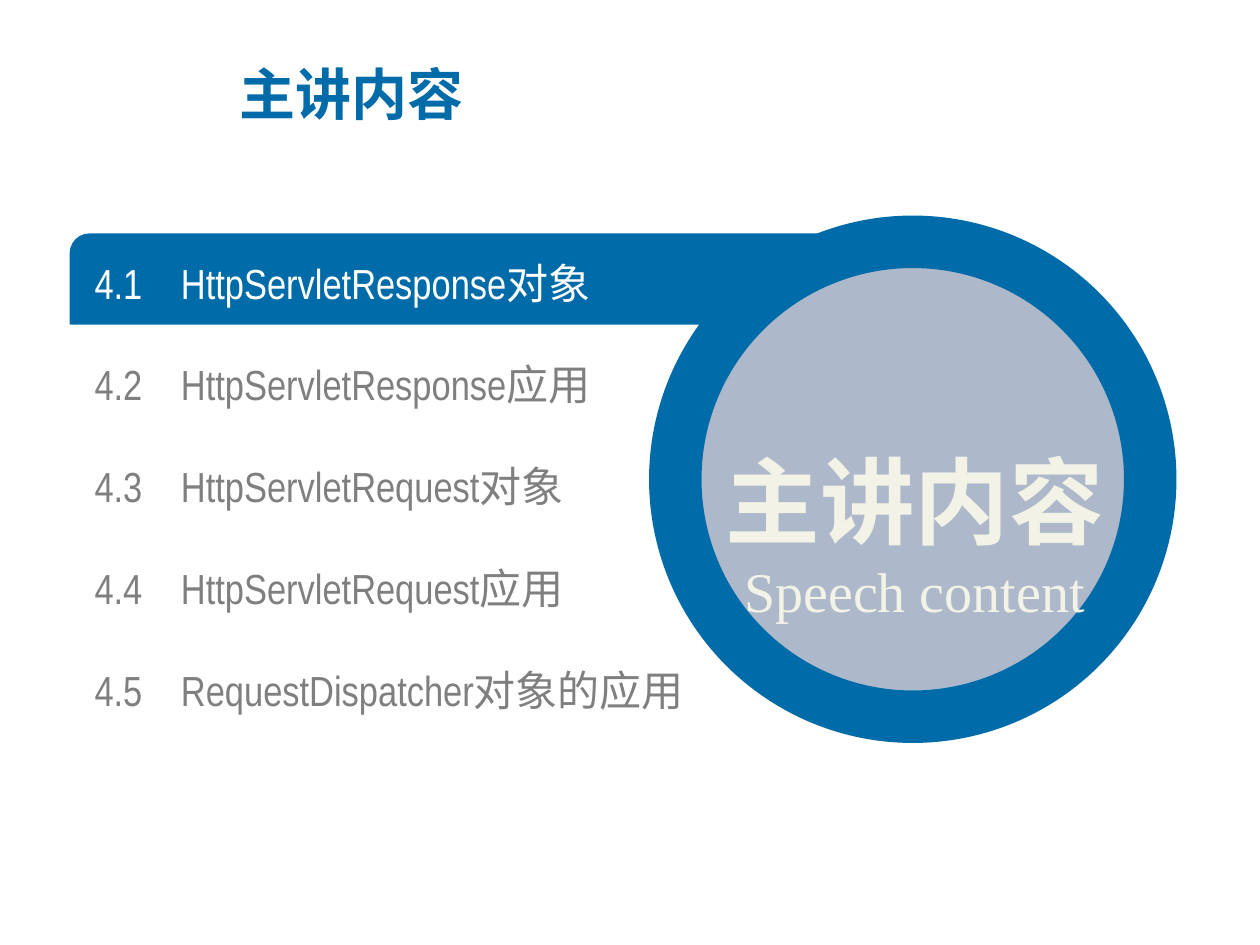
"""Build the agenda slide: a numbered list beside a large ring."""
from lxml import etree
from pptx import Presentation
from pptx.dml.color import RGBColor
from pptx.enum.shapes import MSO_SHAPE
from pptx.enum.text import MSO_ANCHOR, MSO_AUTO_SIZE, PP_ALIGN
from pptx.oxml.ns import qn
from pptx.util import Pt

BAR, RING = MSO_SHAPE.ROUND_2_DIAG_RECTANGLE, MSO_SHAPE.OVAL
TOP, MID = MSO_ANCHOR.TOP, MSO_ANCHOR.MIDDLE
LEFT, MIDST = PP_ALIGN.LEFT, PP_ALIGN.CENTER
FIXED, GROW = MSO_AUTO_SIZE.NONE, MSO_AUTO_SIZE.SHAPE_TO_FIT_TEXT

HEAD = "主讲内容"
SUB = "Speech content"
ITEMS = [
    ("4.1", "HttpServletResponse对象"),
    ("4.2", "HttpServletResponse应用"),
    ("4.3", "HttpServletRequest对象"),
    ("4.4", "HttpServletRequest应用"),
    ("4.5", "RequestDispatcher对象的应用"),
]
ACTIVE = 0

THEME = {
    "blue": "006BA9", "mist": "ADB9CA", "cream": "F2F2E6",
    "white": "FFFFFF", "gray": "7F7F7F",
    "cjk": "Noto Sans CJK SC", "list": "Arial Narrow", "serif": "Times New Roman",
    "title": 32, "item": 24, "big": 54, "sub": 32,
}
PITCH, INDENT = 58.2, 49.4
LIST_X, LIST_Y, LIST_W = 54, 117.5, 374.4


def color(name):
    return RGBColor.from_string(THEME[name])


def apply(target, **values):
    for key, value in values.items():
        setattr(target, key, value)


def place(shape, left, top, width, height):
    apply(shape, left=Pt(left), top=Pt(top), width=Pt(width), height=Pt(height))


def frame(shape, inset=0, **values):
    text = shape.text_frame
    sides = ("margin_left", "margin_right", "margin_top", "margin_bottom")
    apply(text, word_wrap=True, **dict.fromkeys(sides, Pt(inset)), **values)
    return text


def write(para, text, font, size, ink, bold=False, **values):
    apply(para, **values)
    run = para.add_run()
    run.text = text
    apply(run.font, name=THEME[font], size=Pt(THEME[size]), bold=bold)
    run.font.color.rgb = color(ink)
    props = run.font._element
    etree.SubElement(props, qn("a:ea"), typeface=THEME["cjk"])


def draw(slide, kind, box, fill, weight):
    shape = slide.shapes.add_shape(kind, *map(Pt, box))
    shape.shadow.inherit = False
    shape.fill.solid()
    shape.fill.fore_color.rgb = color(fill)
    shape.line.color.rgb = color("blue")
    shape.line.width = Pt(weight)
    return shape


def fill_list(body):
    place(body, LIST_X, LIST_Y, LIST_W, PITCH * len(ITEMS))
    text = frame(body, vertical_anchor=TOP, auto_size=FIXED)
    for row, (num, name) in enumerate(ITEMS):
        para = text.add_paragraph() if row else text.paragraphs[0]
        write(para, f"{num}\t{name}", "list", "item",
              "white" if row == ACTIVE else "gray", alignment=LEFT,
              line_spacing=Pt(PITCH), space_before=Pt(0), space_after=Pt(0))
        props = para._p.get_or_add_pPr()
        props.set("marL", str(Pt(INDENT)))
        props.set("indent", str(-Pt(INDENT)))
        etree.SubElement(props, qn("a:buNone"))


def main():
    deck = Presentation()
    apply(deck, slide_width=Pt(720), slide_height=Pt(540))
    slide = deck.slides.add_slide(deck.slide_layouts[1])
    title, body = slide.placeholders

    bar = draw(slide, BAR, (40.3, 133.9, 450, 51.1), "blue", 1)
    bar.adjustments[0], bar.adjustments[1] = 0.21, 0
    draw(slide, RING, (385.9, 138.2, 271.4, 271.4), "mist", 30)

    label = slide.shapes.add_textbox(*map(Pt, (382.3, 216.7, 280.8, 144)))
    text = frame(label, 5, vertical_anchor=MID, auto_size=GROW)
    write(text.paragraphs[0], HEAD, "cjk", "big", "cream", True,
          alignment=MIDST, line_spacing=1.5)
    write(text.add_paragraph(), SUB, "serif", "sub", "cream", alignment=MIDST)

    place(title, 129.6, 31, 389.5, 43.9)
    text = frame(title, 7.2, vertical_anchor=MID, auto_size=FIXED)
    write(text.paragraphs[0], HEAD, "cjk", "title", "blue", True, alignment=LEFT)

    fill_list(body)
    for shape in (body, title):
        slide.shapes._spTree.append(shape._element)
    deck.save("out.pptx")


if __name__ == "__main__":
    main()
